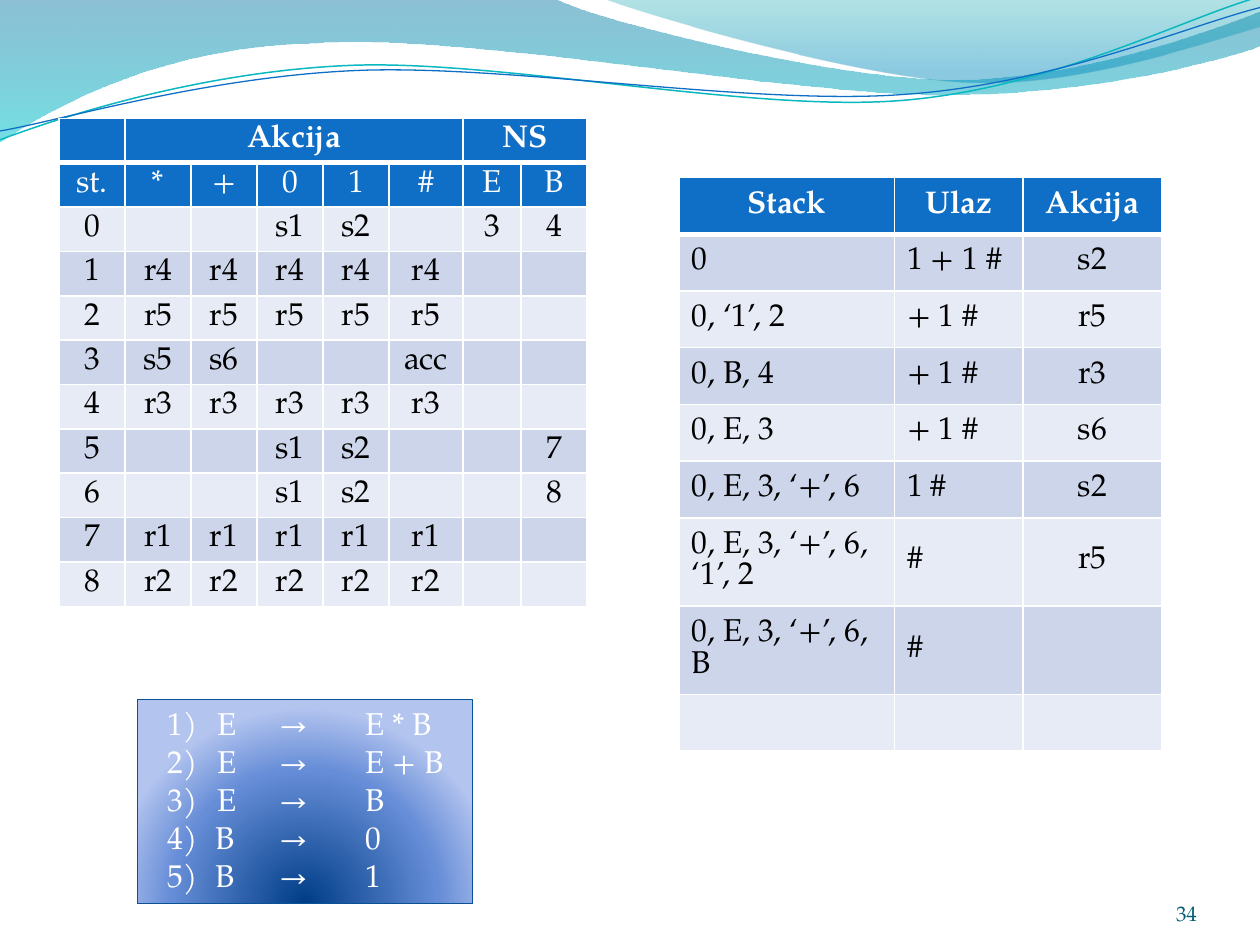
from lxml import etree
from pptx import Presentation
from pptx.dml.color import RGBColor
from pptx.enum.shapes import MSO_SHAPE as Shape
from pptx.enum.text import MSO_ANCHOR as Anchor, PP_ALIGN as Align
from pptx.oxml.ns import qn
from pptx.util import Inches, Pt

FONT = "TeX Gyre Pagella"
BLUE, WHITE, BLACK = "0F6FC6", "FFFFFF", "000000"
BANDS = ("E7EBF5", "CCD5EA")

# Each outline: start point, then segments of one point (line) or three (curve)
LEFT_WAVE = [(0, 0), [(4.4, -0.01)],
             [(4.76, 0.17), (6.64, 0.63), (7.58, 0.63)],
             [(8.53, 0.63), (9.58, 0.26), (10, 0.09)], [(10.01, 0.36)],
             [(9.83, 0.44), (8.7, 0.76), (7.46, 0.75)],
             [(6.22, 0.75), (3.82, 0.28), (2.57, 0.34)],
             [(1.29, 0.36), (0.46, 0.83), (-0.01, 1.13)]]
RIGHT_WAVE = [(4.79, -0.01), [(5.09, 0.11), (6.82, 0.62), (7.69, 0.65)],
              [(8.56, 0.69), (9.61, 0.32), (10, 0.21)], [(10, 0)]]
TEAL_LINE = [(0, 1.11), [(0.48, 0.93), (1.58, 0.57), (2.77, 0.52)],
             [(3.95, 0.47), (5.93, 0.89), (7.13, 0.8)],
             [(8.33, 0.71), (9.38, 0.15), (9.98, -0.02)]]
BLUE_LINE = [(0, 1.04), [(0.47, 0.96), (1.64, 0.61), (2.83, 0.56)],
             [(4.03, 0.51), (5.97, 0.84), (7.17, 0.75)],
             [(8.36, 0.67), (9.41, 0.21), (10, 0.06)]]

PARSE_ROWS = [
    ["", "Akcija", "", "", "", "", "NS", ""],
    ["st.", "*", "+", "0", "1", "#", "E", "B"],
    ["0", "", "", "s1", "s2", "", "3", "4"],
    ["1"] + ["r4"] * 5 + ["", ""],
    ["2"] + ["r5"] * 5 + ["", ""],
    ["3", "s5", "s6", "", "", "acc", "", ""],
    ["4"] + ["r3"] * 5 + ["", ""],
    ["5", "", "", "s1", "s2", "", "", "7"],
    ["6", "", "", "s1", "s2", "", "", "8"],
    ["7"] + ["r1"] * 5 + ["", ""],
    ["8"] + ["r2"] * 5 + ["", ""],
]
STACK_ROWS = [
    ["Stack", "Ulaz", "Akcija"],
    ["0", "1 + 1 #", "s2"],
    ["0, ‘1’, 2", "+ 1 #", "r5"],
    ["0, B, 4", "+ 1 #", "r3"],
    ["0, E, 3", "+ 1 #", "s6"],
    ["0, E, 3, ‘+’, 6", "1 #", "s2"],
    ["0, E, 3, ‘+’, 6, ‘1’, 2", "#", "r5"],
    ["0, E, 3, ‘+’, 6, B", "#", ""],
    ["", "", ""],
]


def rgb(value):
    return RGBColor.from_string(value)


def add_xml(parent, tag, **attributes):
    return etree.SubElement(parent, qn(tag), attributes)


def format_runs(para, color, size=18, bold=False):
    for span in para.runs:
        font = span.font
        font.name, font.size, font.bold = FONT, Pt(size), bold
        font.color.rgb = rgb(color)


def add_color(parent, color, alpha=100):
    node = add_xml(parent, "a:srgbClr", val=color)
    if alpha < 100:
        add_xml(node, "a:alpha", val=str(alpha * 1000))


def gradient_fill(shape, stops, radial=False):
    """Fill with (position, colour, opacity) stops, downwards or from below."""
    shape.fill.background()
    empty = shape._element.spPr.find(qn("a:noFill"))
    fill = etree.Element(qn("a:gradFill"), rotWithShape="1")
    stop_list = add_xml(fill, "a:gsLst")
    for position, color, alpha in stops:
        add_color(add_xml(stop_list, "a:gs", pos=str(position * 1000)), color, alpha)
    if radial:
        route = add_xml(fill, "a:path")
        route.set("path", "circle")
        add_xml(route, "a:fillToRect", l="50000", t="130000", r="50000", b="-30000")
    else:
        add_xml(fill, "a:lin", ang="5400000", scaled="1")
    empty.getparent().replace(empty, fill)


def add_outline(page, outline, closed):
    """Build all points as lines, then join each group of three into a curve."""
    start, *segments = outline
    builder = page.shapes.build_freeform(Inches(start[0]), Inches(start[1]))
    builder.add_line_segments([(Inches(x), Inches(y)) for segment in segments
                               for x, y in segment], close=closed)
    shape = builder.convert_to_shape()
    shape.shadow.inherit = False
    lines = iter(list(shape._element.iter(qn("a:lnTo"))))
    for segment in segments:
        group = [next(lines) for _ in segment]
        if len(group) == 3:
            curve = etree.Element(qn("a:cubicBezTo"))
            group[0].addprevious(curve)
            for line in group:
                curve.append(line[0])
                line.getparent().remove(line)
    return shape


def add_waves(page):
    for outline, stops in ((LEFT_WAVE, [(0, "0074A1", 45), (100, "00C6CF", 55)]),
                           (RIGHT_WAVE, [(0, "00A1A9", 30), (80, "008BBF", 45)])):
        wave = add_outline(page, outline, True)
        gradient_fill(wave, stops)
        wave.line.fill.background()
    for outline, color, width in ((TEAL_LINE, "0AB8BF", 0.85), (BLUE_LINE, BLUE, 0.75)):
        curve = add_outline(page, outline, False)
        curve.fill.background()
        curve.line.color.rgb = rgb(color)
        curve.line.width = Pt(width)


def set_borders(cell, row):
    """White rules, with a thick one under the first row."""
    properties = cell._tc.get_or_add_tcPr()
    widths = {"L": 1, "R": 1, "T": 3 if row == 1 else 1, "B": 3 if row == 0 else 1}
    for side, width in widths.items():
        line = add_xml(properties, f"a:ln{side}", w=str(Pt(width)))
        add_color(add_xml(line, "a:solidFill"), WHITE)


def add_grid(page, left, top, widths, heights, rows, header_rows=1, left_columns=()):
    frame = page.shapes.add_table(len(rows), len(widths), Inches(left), Inches(top),
                                  Inches(sum(widths)), Inches(sum(heights)))
    table = frame.table
    for column, width in zip(table.columns, widths):
        column.width = Inches(width)
    for r, (texts, height) in enumerate(zip(rows, heights)):
        table.rows[r].height = Inches(height)
        header = r < header_rows
        for c, text in enumerate(texts):
            cell = table.cell(r, c)
            set_borders(cell, r)
            cell.fill.solid()
            cell.fill.fore_color.rgb = rgb(BLUE if header else BANDS[r % 2])
            cell.vertical_anchor = Anchor.MIDDLE
            para = cell.text_frame.paragraphs[0]
            para.alignment = Align.LEFT if c in left_columns and not header else Align.CENTER
            if text:
                para.text = text
                format_runs(para, WHITE if header else BLACK, bold=r == 0)
            else:  # an empty cell keeps the line height of the others
                ending = add_xml(para._p, "a:endParaRPr", sz="1800")
                add_xml(ending, "a:latin", typeface=FONT)
    return table


def add_grammar(page, left, top, width, height):
    box = page.shapes.add_shape(Shape.RECTANGLE, Inches(left), Inches(top),
                                Inches(width), Inches(height))
    gradient_fill(box, [(0, "003D87", 100), (68, "668DD7", 100), (100, "B3C4EF", 100)], True)
    box.line.color.rgb = rgb("095295")
    box.line.width = Pt(0.75)
    box.shadow.inherit = False

    frame = box.text_frame
    frame.word_wrap = True
    frame.vertical_anchor = Anchor.TOP
    frame.margin_left = Inches(0.24)
    frame.margin_top = Inches(0.04)
    frame.text = "1)\tE\t→\tE * B\v2)\tE\t→\tE + B\v3)\tE\t→\tB\nB\t→\t0\nB\t→\t1"
    for number, para in enumerate(frame.paragraphs):
        para.alignment = Align.LEFT
        properties = para._p.get_or_add_pPr()
        if number:  # rules 4 and 5 are numbered automatically
            properties.set("marL", str(Inches(0.38)))
            properties.set("indent", str(Inches(-0.38)))
            add_xml(properties, "a:buFont", typeface=FONT)
            add_xml(properties, "a:buAutoNum", type="arabicParenR", startAt="4")
        tabs = add_xml(properties, "a:tabLst")
        for position in (0.4, 0.89, 1.57):
            add_xml(tabs, "a:tab", pos=str(Inches(position)), algn="l")
        format_runs(para, WHITE)


def add_page_number(page, left, top, width, height):
    box = page.shapes.add_textbox(Inches(left), Inches(top), Inches(width), Inches(height))
    frame = box.text_frame
    frame.word_wrap = True
    frame.margin_left = frame.margin_right = frame.margin_top = frame.margin_bottom = 0
    frame.vertical_anchor = Anchor.BOTTOM
    frame.text = "34"
    frame.paragraphs[0].alignment = Align.RIGHT
    format_runs(frame.paragraphs[0], "045D75", size=12)


def main():
    deck = Presentation()
    deck.slide_width, deck.slide_height = Inches(10), Inches(7.5)
    page = deck.slides.add_slide(deck.slide_layouts[6])
    add_waves(page)
    # Parsing table: six equal columns beside the two of their own width
    equal = (4.19 - 0.59 - 0.46) / 6
    parsing = add_grid(page, 0.47, 0.94, [equal] * 5 + [0.59, 0.46, equal],
                       [0.35] * len(PARSE_ROWS), PARSE_ROWS, header_rows=2)
    for first, last in ((1, 5), (6, 7)):
        parsing.cell(0, first).merge(parsing.cell(0, last))
    add_page_number(page, 8.67, 6.95, 0.83, 0.4)
    add_grammar(page, 1.09, 5.55, 2.66, 1.62)
    # Trace of the stack
    add_grid(page, 5.39, 1.41, [1.71, 1.02, 1.1], [0.45] * 6 + [0.7] * 2 + [0.45],
             STACK_ROWS, left_columns=(0, 1))
    deck.save("out.pptx")


if __name__ == "__main__":
    main()
